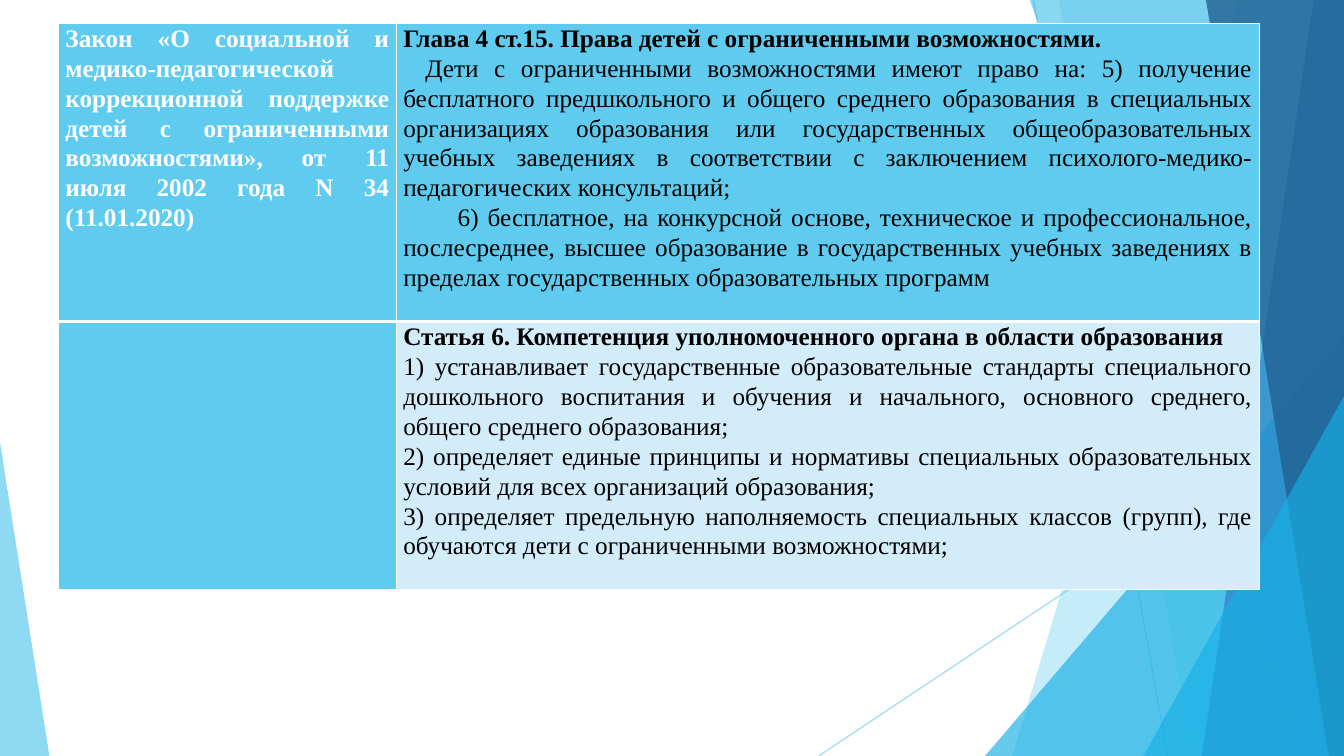
from lxml import etree
from pptx import Presentation
from pptx.dml.color import RGBColor
from pptx.enum.shapes import MSO_CONNECTOR as Connector, MSO_SHAPE as Shape
from pptx.enum.text import PP_ALIGN as Align
from pptx.oxml.ns import qn
from pptx.util import Inches, Pt

COLORS = {
    "sky": "5FCBEF", "cyan": "17B0E4", "blue": "2E83C3", "navy": "226292",
    "pale": "D2ECF9", "white": "FFFFFF", "black": "000000",
}
FONT = "Times New Roman"


def add_alpha(fill_owner, percent):
    color = next(fill_owner.iter(qn("a:srgbClr")))
    etree.SubElement(color, qn("a:alpha"), val=str(percent * 1000))


def style_facet(shape, color, percent):
    shape.shadow.inherit = False
    shape.fill.solid()
    shape.fill.fore_color.rgb = RGBColor.from_string(COLORS[color])
    shape.line.fill.background()
    add_alpha(shape.fill._xPr.find(qn("a:solidFill")), percent)


presentation = Presentation()
presentation.slide_width = Inches(13.33)
presentation.slide_height = Inches(7.5)
slide = presentation.slides.add_slide(presentation.slide_layouts[6])
shapes = slide.shapes

for x1, y1, x2, y2 in [(10.25, 0, 11.58, 7.5), (13.33, 4.03, 8.12, 7.5)]:
    line = shapes.add_connector(
        Connector.STRAIGHT, Inches(x1), Inches(y1), Inches(x2), Inches(y2))
    line.line.width = Pt(0.75)
    line.line.color.rgb = RGBColor.from_string(COLORS["sky"])
    properties = line._element.spPr
    add_alpha(properties, 70)
    etree.SubElement(properties, qn("a:effectLst"))

facets = [
    ("band", (12.28, 10.04), "sky", 36),
    ("band", (10.5, 11.83), "sky", 20),
    ("triangle", (9.77, 3.33, 3.56, 4.17, 1), "cyan", 66),
    ("band", (10.21, 12.91), "cyan", 50),
    ("band", (13.03, 11.92), "blue", 70),
    ("band", (11.96, 13.18), "navy", 80),
    ("triangle", (11.34, 3.93, 1.99, 3.57, 1), "cyan", 66),
    ("triangle", (0, 4.39, 0.49, 3.11, 0), "sky", 70),
]
for kind, geometry, color, percent in facets:
    if kind == "band":
        top_x, bottom_x = geometry
        builder = shapes.build_freeform(Inches(top_x), Inches(-0.01))
        corners = [(13.33, -0.01), (13.33, 7.5), (bottom_x, 7.5)]
        builder.add_line_segments([(Inches(x), Inches(y)) for x, y in corners], close=True)
        facet = builder.convert_to_shape()
    else:
        *box, apex = geometry
        facet = shapes.add_shape(Shape.ISOSCELES_TRIANGLE, *[Inches(value) for value in box])
        facet.adjustments[0] = apex
    style_facet(facet, color, percent)

column_widths = [3.35, 8.56]
row_heights = [2.96, 2.66]
table = shapes.add_table(
    2, 2, Inches(0.58), Inches(0.23),
    Inches(sum(column_widths)), Inches(sum(row_heights))).table
table.first_row = False
table.horz_banding = False
for column, width in zip(table.columns, column_widths):
    column.width = Inches(width)
for row, height in zip(table.rows, row_heights):
    row.height = Inches(height)

law = [
    ("Закон «О социальной и медико-педагогической коррекционной поддержке детей "
     "с ограниченными возможностями», от 11 июля 2002 года N 34 (11.01.2020)", True, 0),
]
rights = [
    ("Глава 4 ст.15. Права детей с ограниченными возможностями.", True, 0),
    ("Дети с ограниченными возможностями имеют право на: 5) получение бесплатного "
     "предшкольного и общего среднего образования в специальных организациях образования "
     "или государственных общеобразовательных учебных заведениях в соответствии с "
     "заключением психолого-медико-педагогических консультаций;", False, 0.22),
    ("6) бесплатное, на конкурсной основе, техническое и профессиональное, послесреднее, "
     "высшее образование в государственных учебных заведениях в пределах государственных "
     "образовательных программ", False, 0.54),
]
powers = [
    ("Статья 6. Компетенция уполномоченного органа в области образования", True, 0),
    ("1) устанавливает государственные образовательные стандарты специального дошкольного "
     "воспитания и обучения и начального, основного среднего, общего среднего "
     "образования;", False, 0),
    ("2) определяет единые принципы и нормативы специальных образовательных условий для "
     "всех организаций образования;", False, 0),
    ("3) определяет предельную наполняемость специальных классов (групп), где обучаются "
     "дети с ограниченными возможностями;", False, 0),
]
cells = [
    (0, 0, law, "sky", "white"),
    (0, 1, rights, "sky", "black"),
    (1, 0, [], "sky", "black"),
    (1, 1, powers, "pale", "black"),
]
for row_index, column_index, paragraphs, fill, text_color in cells:
    cell = table.cell(row_index, column_index)
    cell.margin_left = cell.margin_right = Inches(0.07)
    cell.margin_top = cell.margin_bottom = 0
    cell_properties = cell._tc.get_or_add_tcPr()
    top, bottom = (1, 3) if row_index == 0 else (3, 1)
    for side, width in [("L", 1), ("R", 1), ("T", top), ("B", bottom)]:
        border = etree.SubElement(cell_properties, qn(f"a:ln{side}"), w=str(Pt(width)))
        border_fill = etree.SubElement(border, qn("a:solidFill"))
        etree.SubElement(border_fill, qn("a:srgbClr"), val=COLORS["white"])
    cell.fill.solid()
    cell.fill.fore_color.rgb = RGBColor.from_string(COLORS[fill])
    frame = cell.text_frame
    for index, (text, bold, indent) in enumerate(paragraphs):
        paragraph = frame.paragraphs[0] if index == 0 else frame.add_paragraph()
        paragraph.alignment = Align.JUSTIFY
        paragraph.line_spacing = 1.07
        if indent:
            paragraph._p.get_or_add_pPr().set("indent", str(Inches(indent)))
        run = paragraph.add_run()
        run.text = text
        run.font.name = FONT
        run.font.size = Pt(18)
        run.font.bold = bold
        run.font.color.rgb = RGBColor.from_string(COLORS[text_color])

presentation.save("out.pptx")
